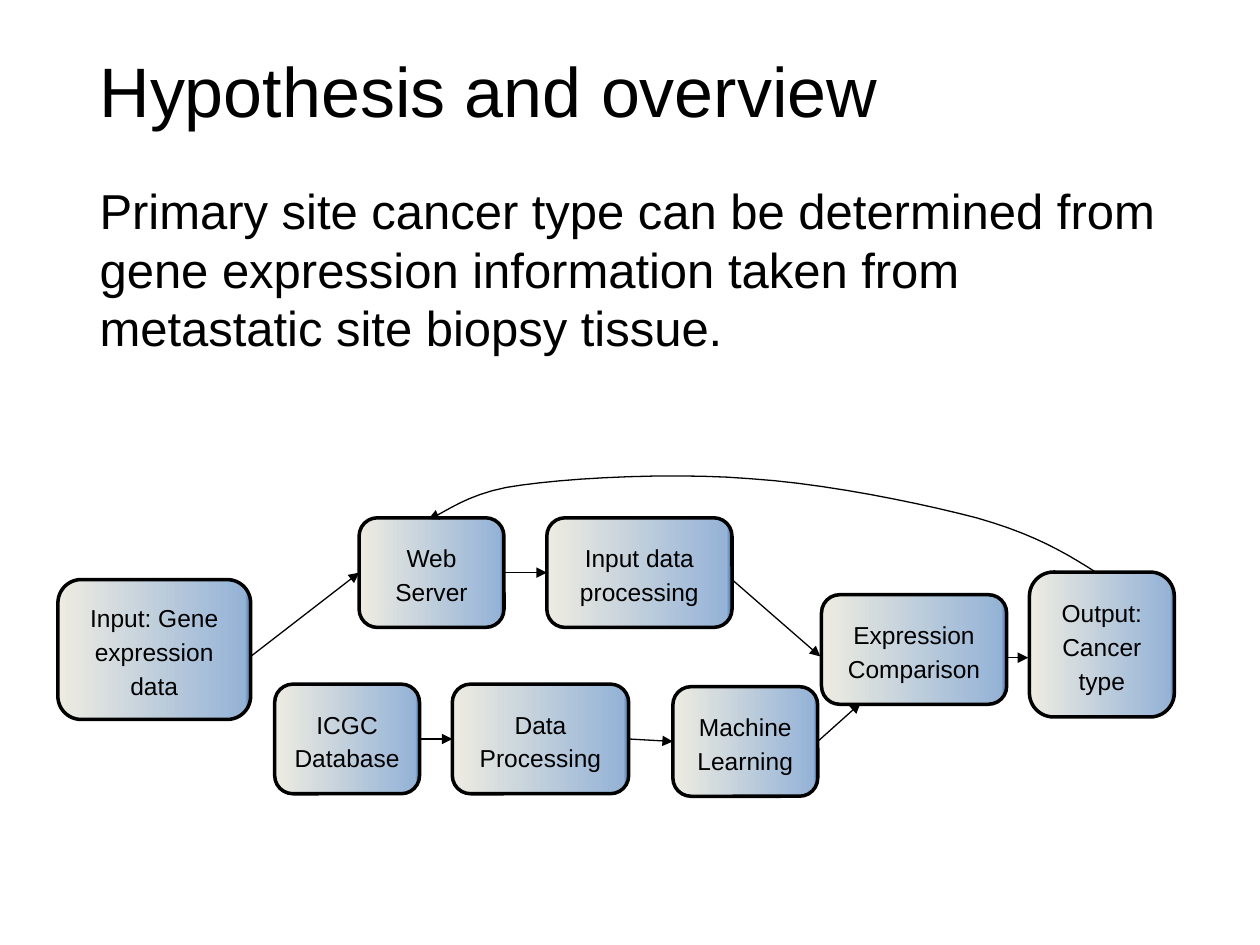
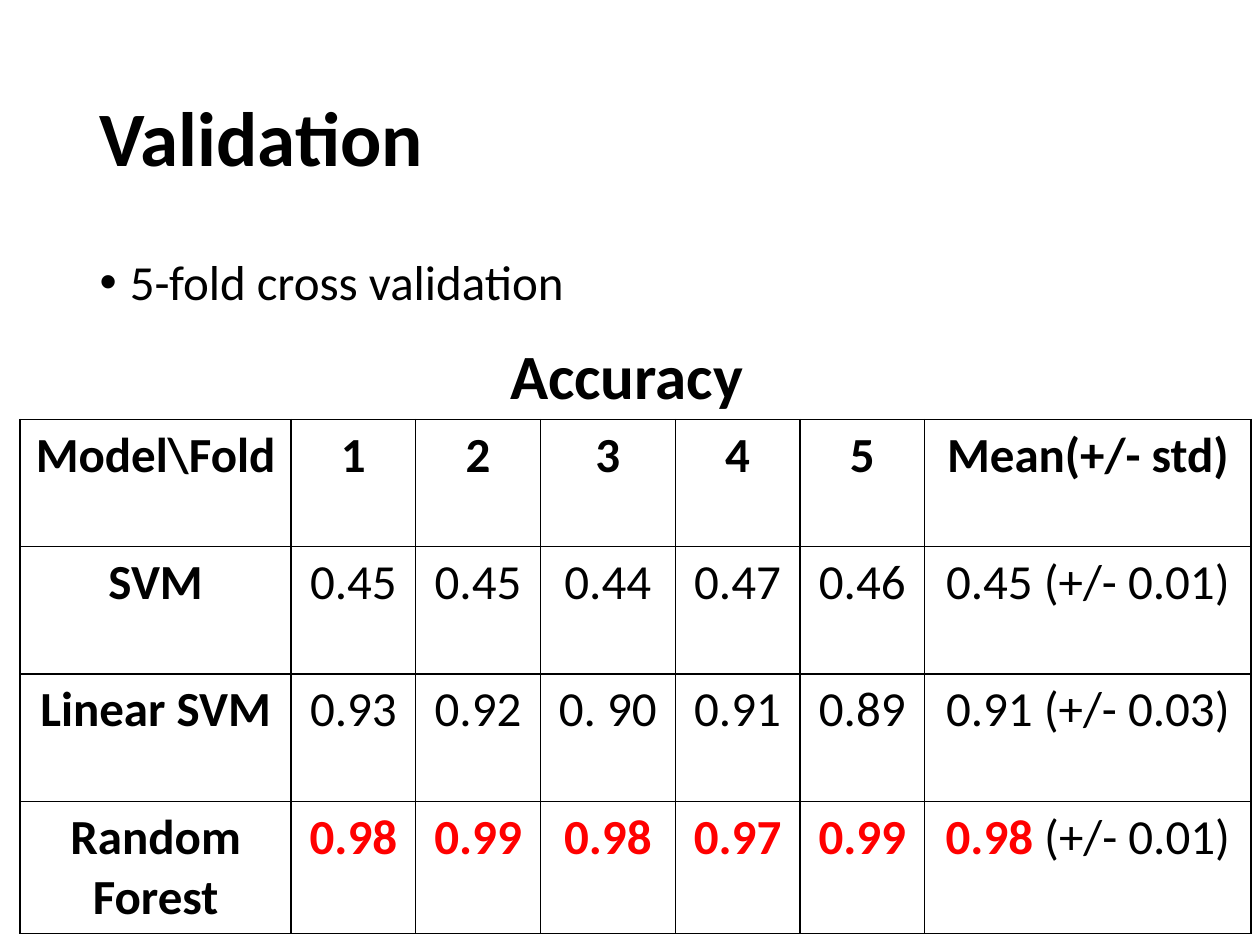
from dataclasses import dataclass
from lxml import etree
from pptx import Presentation
from pptx import util as u
from pptx.dml.color import RGBColor
from pptx.enum import shapes, text
from pptx.oxml import ns


@dataclass(frozen=True)
class Theme:
    ink: str = "000000"
    accent: str = "FF0000"
    gradient: tuple = ((0, "EEECE1"), (97, "95B3D7"), (100, "3C6CA6"))
    sans: str = "Arial"
    humanist: str = "Calibri"
    body: int = 28
    box: int = 14
    caption: int = 36
    box_line: float = 2
    thin: float = 0.75


T = Theme()
W, H = 10, 7.5
LEFT, TEXT_W = 0.69, 8.62
NARROW, WIDE, BOX_H = 1.15, 1.47, 0.87
TOP_ROW, LOW_ROW = 4.11, 5.43

OVERVIEW = {
    "title": ("Hypothesis and overview", 0.37, 0.76, T.sans, 40, False),
    "body": ("Primary site cancer type can be determined from gene expression "
             "information taken from metastatic site biopsy tissue.", 1.38, 4.76, T.sans, 1.0, 0),
}
VALIDATION = {
    "title": ("Validation", 0.4, 1.45, T.humanist, 44, True),
    "body": ("5-fold cross validation", 2, 0.98, T.humanist, 0.9, 0.24),
}

BOXES = {
    "input": ("Input: Gene expression data", 0.46, 4.6, 1.53, 1.11),
    "server": ("Web Server", 2.85, TOP_ROW, NARROW, BOX_H),
    "processing": ("Input data processing", 4.34, TOP_ROW, WIDE, BOX_H),
    "database": ("ICGC Database", 2.18, LOW_ROW, NARROW, BOX_H),
    "data": ("Data Processing", 3.59, LOW_ROW, 1.4, BOX_H),
    "learning": ("Machine Learning", 5.34, 5.45, NARROW, BOX_H),
    "comparison": ("Expression Comparison", 6.52, 4.72, WIDE, BOX_H),
    "output": ("Output: Cancer type", 8.17, 4.54, NARROW, 1.15),
}
LINKS = [
    ((1.99, 5.21), "server"),
    ("server", "processing"),
    ((5.81, 4.6), (6.51, 5.21)),
    ("database", "data"),
    ("data", "learning"),
    ("learning", (6.83, 5.58)),
    ((7.99, 5.22), (8.16, 5.22)),
]
FEEDBACK_START = (8.71, 4.55)
FEEDBACK = [
    ((8.46, 4.39), (8.21, 4.24), (7.75, 4.11)),
    ((7.29, 3.99), (6.56, 3.84), (5.96, 3.8)),
    ((5.36, 3.75), (4.57, 3.79), (4.14, 3.85)),
    ((3.71, 3.9), (3.51, 4.09), (3.4, 4.12)),
]
CURVE_STEPS = 10

CAPTION = ("Accuracy", 3.95, 2.62, 2.58, 1.3)
TABLE_AT = (0.16, 3.33)
COLS = [2.15, 0.99, 0.99, 1.07, 0.99, 0.99, 2.59]
ROW_H = 1.01
ACCURACY = [
    ["Model\\Fold", "1", "2", "3", "4", "5", "Mean(+/- std)"],
    ["SVM", "0.45", "0.45", "0.44", "0.47", "0.46", "0.45 (+/- 0.01)"],
    ["Linear SVM", "0.93", "0.92", "0. 90", "0.91", "0.89", "0.91 (+/- 0.03)"],
    ["Random Forest", "0.98", "0.99", "0.98", "0.97", "0.99", "0.98 (+/- 0.01)"],
]


def inches(*values):
    return [u.Inches(v) for v in values]


def style(r, font, size, bold=False, color=T.ink):
    r.font.name, r.font.size, r.font.bold = font, u.Pt(size), bold
    r.font.color.rgb = RGBColor.from_string(color)


def child(parent, tag, **attrs):
    return etree.SubElement(parent, ns.qn(tag), **attrs)


def place(sp, top, height):
    sp.left, sp.top, sp.width, sp.height = inches(LEFT, top, TEXT_W, height)


def add_slide(prs, title, body):
    s = prs.slides.add_slide(prs.slide_layouts[1])
    words, top, height, font, size, bold = title
    sp = s.shapes.title
    place(sp, top, height)
    tf = sp.text_frame
    tf.text = words
    tf.auto_size = text.MSO_AUTO_SIZE.NONE
    tf.vertical_anchor = text.MSO_ANCHOR.MIDDLE
    p = tf.paragraphs[0]
    p.alignment, p.line_spacing = text.PP_ALIGN.LEFT, 0.9
    style(p.runs[0], font, size, bold)

    words, top, height, font, spacing, indent = body
    sp = s.placeholders[1]
    place(sp, top, height)
    tf = sp.text_frame
    tf.text = words
    tf.auto_size = text.MSO_AUTO_SIZE.NONE
    p = tf.paragraphs[0]
    p.line_spacing, p.space_before = spacing, u.Pt(0)
    pPr = p._p.get_or_add_pPr()
    pPr.set("marL", str(u.Inches(indent)))
    pPr.set("indent", str(-u.Inches(indent)))
    if indent:
        child(pPr, "a:buChar", char="•")
    else:
        child(pPr, "a:buNone")
    style(p.runs[0], font, T.body)
    return s


def add_box(s, words, *at):
    sp = s.shapes.add_shape(shapes.MSO_SHAPE.ROUNDED_RECTANGLE, *inches(*at))
    sp.shadow.inherit = False
    sp.fill.gradient()
    sp.fill.gradient_angle = 0
    stops = sp._element.spPr.find(".//" + ns.qn("a:gsLst"))
    for stop in list(stops):
        stops.remove(stop)
    for pos, color in T.gradient:
        child(child(stops, "a:gs", pos=str(pos * 1000)), "a:srgbClr", val=color)
    sp.line.color.rgb = RGBColor.from_string(T.ink)
    sp.line.width = u.Pt(T.box_line)
    tf = sp.text_frame
    tf.text = words
    tf.word_wrap = True
    tf.margin_left = tf.margin_right = u.Inches(0.07)
    tf.vertical_anchor = text.MSO_ANCHOR.MIDDLE
    p = tf.paragraphs[0]
    p.alignment, p.line_spacing = text.PP_ALIGN.CENTER, 1.15
    style(p.runs[0], T.sans, T.box)
    return sp


def arrow_line(sp):
    sp.line.color.rgb = RGBColor.from_string(T.ink)
    sp.line.width = u.Pt(T.thin)
    child(sp.line._get_or_add_ln(), "a:tailEnd", type="triangle")


def add_link(s, boxes, start, end):
    points = [(0, 0) if isinstance(e, str) else e for e in (start, end)]
    c = s.shapes.add_connector(shapes.MSO_CONNECTOR.STRAIGHT, *inches(*points[0], *points[1]))
    if start in boxes:
        c.begin_connect(boxes[start], 3)
    if end in boxes:
        c.end_connect(boxes[end], 1)
    arrow_line(c)
    child(c._element.spPr, "a:effectLst")


def bezier(a, b, c, d, t):
    k = 1 - t
    return tuple(k**3 * w + 3 * k * k * t * x + 3 * k * t * t * y + t**3 * z
                 for w, x, y, z in zip(a, b, c, d))


def add_feedback(s):
    start, points = FEEDBACK_START, []
    for b, c, d in FEEDBACK:
        points += [inches(*bezier(start, b, c, d, i / CURVE_STEPS))
                   for i in range(1, CURVE_STEPS + 1)]
        start = d
    fb = s.shapes.build_freeform(*inches(*FEEDBACK_START))
    fb.add_line_segments(points, close=False)
    sp = fb.convert_to_shape()
    sp.fill.background()
    arrow_line(sp)
    sp.shadow.inherit = False


def border(cell, row, col):
    tcPr = cell._tc.get_or_add_tcPr()
    outer = {"L": col == 0, "R": col == len(COLS) - 1,
             "T": row == 0, "B": row == len(ACCURACY) - 1}
    for i, (side, edge) in enumerate(outer.items()):
        ln = etree.Element(ns.qn("a:ln" + side), w=str(u.Pt(1 if edge else T.thin)))
        child(child(ln, "a:solidFill"), "a:srgbClr", val=T.ink)
        tcPr.insert(i, ln)


def add_accuracy(s):
    size = inches(sum(COLS), ROW_H * len(ACCURACY))
    tb = s.shapes.add_table(len(ACCURACY), len(COLS), *inches(*TABLE_AT), *size).table
    tb.first_row = tb.horz_banding = False
    for column, width in zip(tb.columns, COLS):
        column.width = u.Inches(width)
    for i, row in enumerate(ACCURACY):
        tb.rows[i].height = u.Inches(ROW_H)
        best = i == len(ACCURACY) - 1
        for j, words in enumerate(row):
            cell = tb.cell(i, j)
            cell.fill.background()
            border(cell, i, j)
            p = cell.text_frame.paragraphs[0]
            p.alignment = text.PP_ALIGN.CENTER
            value, gap, spread = words.partition(" (") if best else (words, "", "")
            p.text = value
            style(p.runs[0], T.humanist, T.body, i == 0 or j == 0 or best,
                  T.accent if best and j else T.ink)
            if spread:
                r = p.add_run()
                r.text = gap + spread
                style(r, T.humanist, T.body)


def add_caption(s, words, *at):
    tf = s.shapes.add_textbox(*inches(*at)).text_frame
    tf.text = words
    tf.word_wrap = True
    style(tf.paragraphs[0].runs[0], T.humanist, T.caption, True)


def main():
    prs = Presentation()
    prs.slide_width, prs.slide_height = inches(W, H)

    s = add_slide(prs, **OVERVIEW)
    boxes = {name: add_box(s, *box) for name, box in BOXES.items()}
    for start, end in LINKS:
        add_link(s, boxes, start, end)
    add_feedback(s)

    s = add_slide(prs, **VALIDATION)
    add_accuracy(s)
    add_caption(s, *CAPTION)

    prs.save("out.pptx")


if __name__ == "__main__":
    main()
